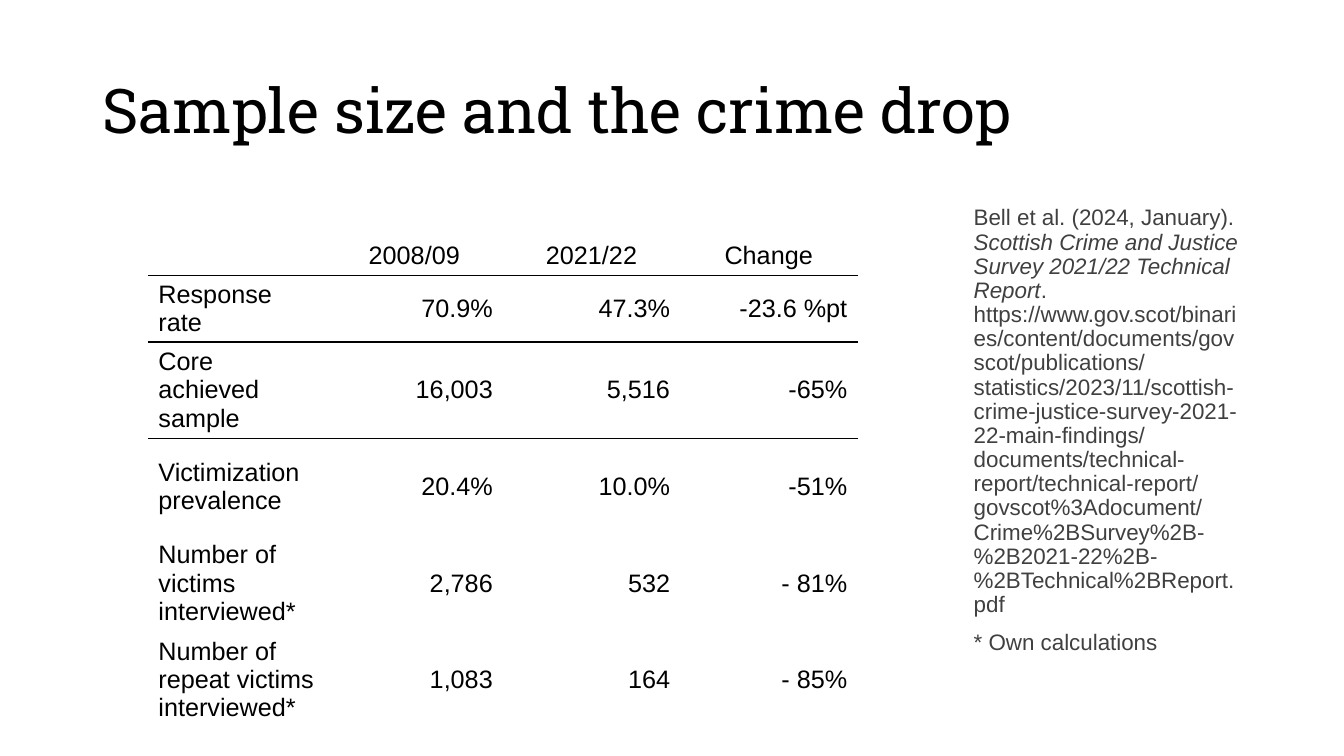
"""Build the slide on sample size and the crime drop."""
from lxml import etree
from pptx import Presentation
from pptx.dml.color import RGBColor
from pptx.enum.text import MSO_ANCHOR, MSO_AUTO_SIZE, PP_ALIGN
from pptx.oxml.ns import qn
from pptx.util import Pt

MIDDLE, TOP, NO_FIT = MSO_ANCHOR.MIDDLE, MSO_ANCHOR.TOP, MSO_AUTO_SIZE.NONE
LEFT, CENTER, RIGHT = PP_ALIGN.LEFT, PP_ALIGN.CENTER, PP_ALIGN.RIGHT
COLORS = {"ink": "000000", "citation": "404040", "paper": "FFFFFF"}


def style_font(font, name, size, color, italic=False):
    formats = {"name": name, "size": Pt(size), "bold": False, "italic": italic}
    for attribute, value in formats.items():
        setattr(font, attribute, value)
    font.color.rgb = RGBColor.from_string(COLORS[color])


def add_rule(cell, side, width):
    line = etree.Element(qn(f"a:{side}"), w=str(Pt(width)))
    fill = etree.SubElement(line, qn("a:solidFill"))
    etree.SubElement(fill, qn("a:srgbClr"), val=COLORS["ink"])
    properties = cell._tc.get_or_add_tcPr()
    position = len(properties.findall(qn("a:lnT")))
    properties.insert(position, line)


prs = Presentation()
prs.slide_width, prs.slide_height = Pt(960), Pt(540)
slide = prs.slides.add_slide(prs.slide_layouts[1])
heading, source = slide.placeholders

heading_place = {"left": 66, "top": 28.8, "width": 828, "height": 104.4}
source_place = {"left": 688.3, "top": 144, "width": 205.9, "height": 342.7}
for holder, place, anchor in (
    (heading, heading_place, MIDDLE),
    (source, source_place, TOP),
):
    for attribute, value in place.items():
        setattr(holder, attribute, Pt(value))
    holder.text_frame.word_wrap = True
    holder.text_frame.auto_size = NO_FIT
    holder.text_frame.vertical_anchor = anchor

heading.text_frame.text = "Sample size and the crime drop"
heading_line = heading.text_frame.paragraphs[0]
heading_line.alignment = LEFT
heading_line.line_spacing = 0.9
style_font(heading_line.runs[0].font, "Roboto Slab", 44, "ink")

survey = [
    ("", "2008/09", "2021/22", "Change"),
    ("Response rate", "70.9%", "47.3%", "-23.6 %pt"),
    ("Core achieved sample", "16,003", "5,516", "-65%"),
    ("Victimization prevalence", "20.4%", "10.0%", "-51%"),
    ("Number of victims interviewed*", "2,786", "532", "- 81%"),
    ("Number of repeat victims interviewed*", "1,083", "164", "- 85%"),
]
row_heights = [27.4, 47.5, 69, 69, 69, 69]
rule_widths = {0: 1, 1: 1.5}
survey_table = slide.shapes.add_table(
    len(survey), len(survey[0]), Pt(106), Pt(169.3), Pt(506.4), Pt(sum(row_heights))
).table
survey_table.first_row = survey_table.horz_banding = False

for row, (figures, height) in enumerate(zip(survey, row_heights)):
    survey_table.rows[row].height = Pt(height)
    for column, figure in enumerate(figures):
        cell = survey_table.cell(row, column)
        cell.vertical_anchor = MIDDLE
        cell.fill.solid()
        cell.fill.fore_color.rgb = RGBColor.from_string(COLORS["paper"])
        cell.text = figure
        entry = cell.text_frame.paragraphs[0]
        entry.alignment = CENTER if row == 0 else RIGHT if column else LEFT
        style_font(entry.font, "Arial", 18, "ink")
        for run in entry.runs:
            style_font(run.font, "Arial", 18, "ink")
        if row - 1 in rule_widths:
            add_rule(cell, "lnT", rule_widths[row - 1])
        if row in rule_widths:
            add_rule(cell, "lnB", rule_widths[row])

source_notes = [
    [
        ("Bell et al. (2024, January). ", False),
        ("Scottish Crime and Justice Survey 2021/22 Technical Report", True),
        (
            ". https://www.gov.scot/binaries/content/documents/govscot/publications/"
            "statistics/2023/11/scottish-crime-justice-survey-2021-22-main-findings/"
            "documents/technical-report/technical-report/govscot%3Adocument/"
            "Crime%2BSurvey%2B-%2B2021-22%2B-%2BTechnical%2BReport.pdf",
            False,
        ),
    ],
    [("* Own calculations", False)],
]
for index, pieces in enumerate(source_notes):
    frame = source.text_frame
    note = frame.add_paragraph() if index else frame.paragraphs[0]
    properties = note._p.get_or_add_pPr()
    properties.set("marL", "0")
    properties.set("indent", "0")
    etree.SubElement(properties, qn("a:buNone"))
    note.line_spacing = 0.9
    note.space_before = Pt(10 if index else 0)
    for text, italic in pieces:
        run = note.add_run()
        run.text = text
        style_font(run.font, "Arial", 16, "citation", italic)

prs.save("out.pptx")
